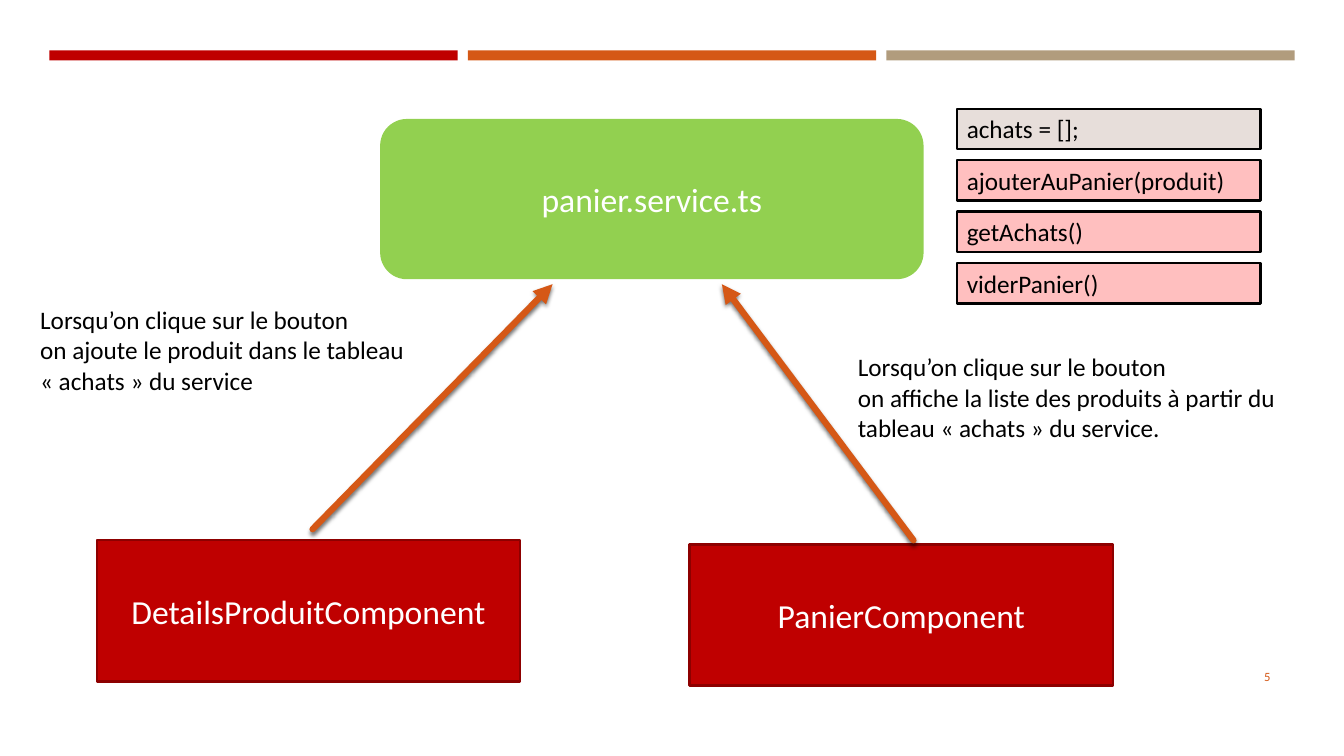
from dataclasses import dataclass

from lxml.etree import SubElement
from pptx import Presentation
from pptx.dml.color import RGBColor
from pptx.enum.shapes import MSO_CONNECTOR as Connector, MSO_SHAPE as Shape
from pptx.enum.text import MSO_ANCHOR as Anchor, MSO_AUTO_SIZE as AutoSize, PP_ALIGN as Align
from pptx.oxml.ns import qn
from pptx.util import Pt

EMU_PER_PX = 9144  # 100 px to the inch


@dataclass(frozen=True)
class Theme:
    font: str = "Calibri"
    red: str = "BF0000"
    dark_red: str = "8D0000"
    orange: str = "D55816"
    sand: str = "B19C7D"
    green: str = "92D050"
    grey: str = "E7DEDA"
    pink: str = "FFBFBF"
    black: str = "000000"
    white: str = "FFFFFF"
    title_size: int = 24
    body_size: int = 18
    number_size: int = 9
    border: float = 1.75
    arrow: float = 4.5


def px(*lengths):
    return [length * EMU_PER_PX for length in lengths]


def paint(fill, color):
    fill.solid()
    fill.fore_color.rgb = RGBColor.from_string(color)


class SlideBuilder:
    def __init__(self, page, theme):
        self.page = page
        self.theme = theme

    def fill_text(self, box, lines, size, color, align=Align.LEFT, **frame_format):
        frame = box.text_frame
        for name, value in {"word_wrap": True, **frame_format}.items():
            setattr(frame, name, value)
        para = frame.paragraphs[0]
        para.alignment = align
        for index, line in enumerate(lines):
            if index:
                para.add_line_break()
            span = para.add_run()
            span.text = line
            for name, value in {"name": self.theme.font, "size": Pt(size)}.items():
                setattr(span.font, name, value)
            span.font.color.rgb = RGBColor.from_string(color)

    def block(self, area, fill, border=None, kind=Shape.RECTANGLE):
        box = self.page.shapes.add_shape(kind, *px(*area))
        box.shadow.inherit = False
        paint(box.fill, fill)
        if border:
            paint(box.line.fill, border)
            box.line.width = Pt(self.theme.border)
        else:
            box.line.fill.background()
        return box

    def titled_block(self, area, title, fill, border=None, kind=Shape.RECTANGLE):
        box = self.block(area, fill, border, kind)
        self.fill_text(box, [title], self.theme.title_size, self.theme.white,
                       Align.CENTER, vertical_anchor=Anchor.MIDDLE)

    def member(self, area, code, fill):
        box = self.block(area, fill, self.theme.black)
        self.fill_text(box, [code], self.theme.body_size, self.theme.black,
                       vertical_anchor=Anchor.TOP, auto_size=AutoSize.SHAPE_TO_FIT_TEXT)

    def text(self, area, lines, size, color, align=Align.LEFT):
        box = self.page.shapes.add_textbox(*px(*area))
        self.fill_text(box, lines, size, color, align, vertical_anchor=Anchor.MIDDLE)

    def arrow(self, start, end):
        arrow = self.page.shapes.add_connector(Connector.STRAIGHT, *px(*start, *end))
        paint(arrow.line.fill, self.theme.orange)
        arrow.line.width = Pt(self.theme.arrow)
        properties = arrow._element.spPr
        line = properties.find(qn("a:ln"))
        line.set("cap", "rnd")
        SubElement(line, qn("a:tailEnd"), type="triangle")
        # Soft shadow straight below the line
        effects = SubElement(properties, qn("a:effectLst"))
        shadow = SubElement(effects, qn("a:outerShdw"), blurRad=str(Pt(3)),
                            dist=str(Pt(2)), dir="5400000", rotWithShape="0")
        color = SubElement(shadow, qn("a:srgbClr"), val=self.theme.black)
        SubElement(color, qn("a:alpha"), val="55000")


def main():
    deck = Presentation()
    deck.slide_width, deck.slide_height = px(1333, 750)
    theme = Theme()
    slide = SlideBuilder(deck.slides.add_slide(deck.slide_layouts[6]), theme)

    # Top bands and page number
    for index, color in enumerate([theme.red, theme.orange, theme.sand]):
        slide.block((49 + 415 * index, 50, 405, 10), color)
    slide.text((1155, 651, 115, 40), ["5"], theme.number_size, theme.orange, Align.RIGHT)

    # Service and the components that use it
    slide.titled_block((377, 118, 539, 159), "panier.service.ts", theme.green,
                       kind=Shape.FLOWCHART_ALTERNATE_PROCESS)
    for left, top, name in [(96, 536, "DetailsProduitComponent"),
                            (684, 540, "PanierComponent")]:
        slide.titled_block((left, top, 420, 140), name, theme.red, theme.dark_red)

    # Members of the service
    members = [("achats = [];", theme.grey), ("ajouterAuPanier(produit)", theme.pink),
               ("getAchats()", theme.pink), ("viderPanier()", theme.pink)]
    for index, (code, fill) in enumerate(members):
        slide.member((949, 108 + 51 * index, 301, 40), code, fill)

    # Calls from the components
    slide.arrow((310, 525), (548, 282))
    slide.arrow((906, 536), (716, 282))

    # Explanations
    click = "Lorsqu’on clique sur le bouton"
    for area, action in [
        ((30, 289, 391, 116), "on ajoute le produit dans le tableau « achats » du service"),
        ((841, 336, 442, 116),
         "on affiche la liste des produits à partir du tableau « achats » du service."),
    ]:
        slide.text(area, [click, action], theme.body_size, theme.black)

    deck.save("out.pptx")


if __name__ == "__main__":
    main()
